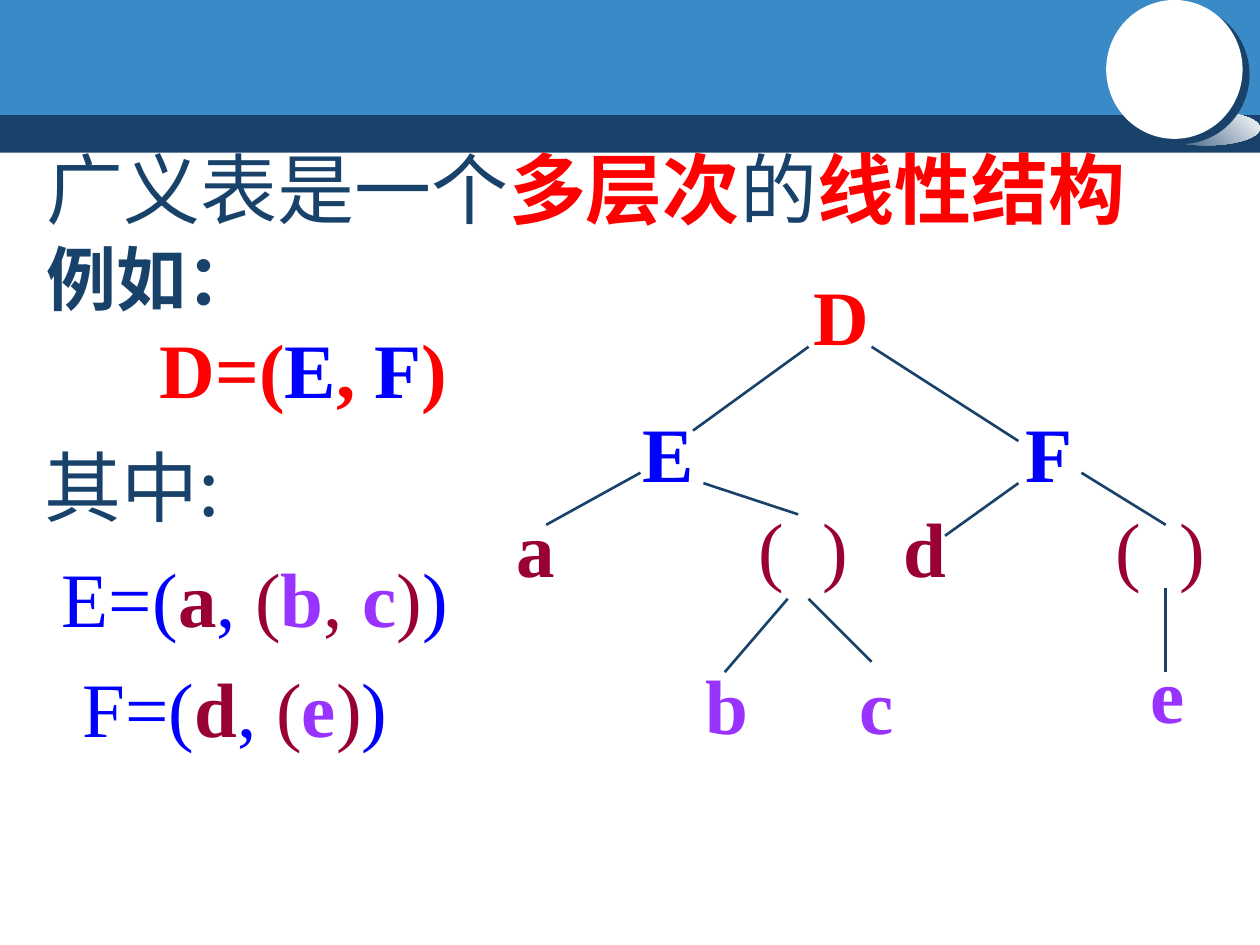
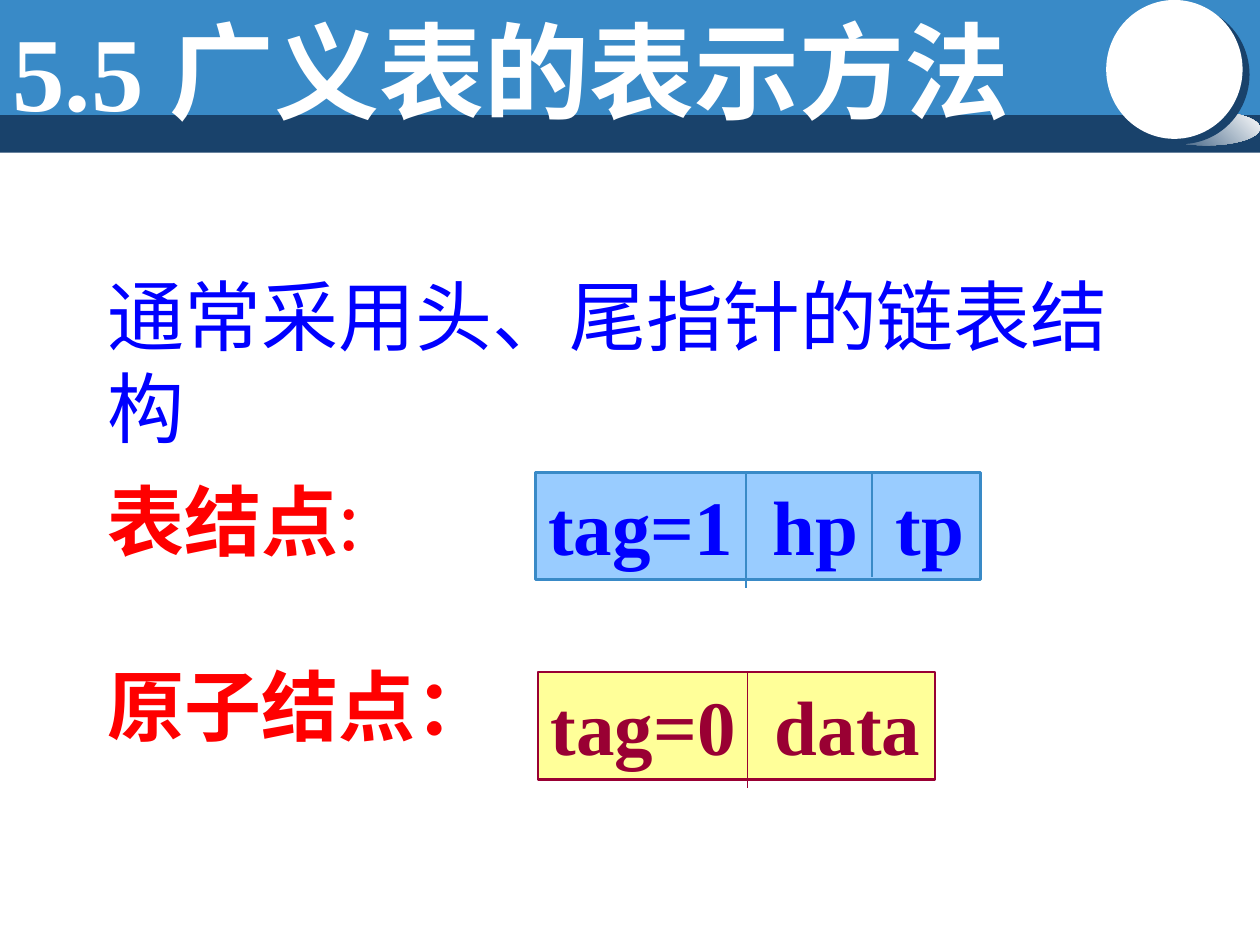
import pptx
import pptx.util
import pptx.dml.color
import pptx.enum.shapes
import pptx.enum.text
import pptx.oxml
import pptx.oxml.ns
from dataclasses import dataclass
from lxml import etree

Cm = pptx.util.Cm
Pt = pptx.util.Pt
Kind = pptx.enum.shapes.MSO_SHAPE
qn = pptx.oxml.ns.qn


@dataclass(frozen=True)
class Theme:
    navy: str = "19426B"
    sky: str = "398AC7"
    white: str = "FFFFFF"
    red: str = "FF0000"
    blue: str = "0000FF"
    wine: str = "990033"
    violet: str = "9933FF"
    pale: str = "99CCFF"
    cream: str = "FFFF99"
    latin: str = "Times New Roman"
    hans: str = "Noto Sans CJK SC"
    title: int = 60
    body: int = 44
    small: int = 40
    edge: float = 1.5
    hair: float = 0.75


T = Theme()


def rgb(code):
    return pptx.dml.color.RGBColor.from_string(code)


def say(par, text, color=T.navy, bold=False, size=T.body, font=T.latin):
    run = par.add_run()
    run.text = text
    run.font.size = Pt(size)
    run.font.bold = bold
    run.font.name = font
    run.font.color.rgb = rgb(color)
    east = etree.SubElement(run._r.get_or_add_rPr(), qn("a:ea"))
    east.set("typeface", T.hans)


def fill_par(par, runs, tabs=(), **form):
    par.alignment = pptx.enum.text.PP_ALIGN.LEFT
    if tabs:
        stops = etree.SubElement(par._p.get_or_add_pPr(), qn("a:tabLst"))
        for pos in tabs:
            etree.SubElement(stops, qn("a:tab"), pos=str(Cm(pos)), algn="l")
    for text, color, bold in runs:
        say(par, text, color, bold, **form)


def label(slide, x, y, w, h, runs, wrap=False, tabs=(), **form):
    frame = slide.shapes.add_textbox(Cm(x), Cm(y), Cm(w), Cm(h)).text_frame
    frame.word_wrap = wrap
    fill_par(frame.paragraphs[0], runs, tabs, **form)
    return frame


def shape(slide, kind, x, y, w, h, fill, line=None):
    form = slide.shapes.add_shape(kind, Cm(x), Cm(y), Cm(w), Cm(h))
    form.shadow.inherit = False
    form.fill.solid()
    form.fill.fore_color.rgb = rgb(fill)
    if line:
        form.line.color.rgb = rgb(line)
        form.line.width = Pt(T.edge)
    else:
        form.line.fill.background()
    return form


def link(slide, x1, y1, x2, y2, color=T.navy, width=T.edge):
    line = slide.shapes.add_connector(
        pptx.enum.shapes.MSO_CONNECTOR.STRAIGHT, Cm(x1), Cm(y1), Cm(x2), Cm(y2))
    line.line.color.rgb = rgb(color)
    line.line.width = Pt(width)
    etree.SubElement(line._element.spPr, qn("a:effectLst"))


def shade(form, color):
    effects = form._element.spPr.find(qn("a:effectLst"))
    drop = etree.SubElement(effects, qn("a:outerShdw"), dist=str(Pt(5)),
                            dir=str(37 * 60000), algn="ctr", rotWithShape="0")
    etree.SubElement(drop, qn("a:srgbClr"), val=color)


def banner(deck):
    slide = deck.slides.add_slide(deck.slide_layouts[6])
    shape(slide, Kind.RECTANGLE, 0, 2.21, 25.4, 0.87, T.navy)
    shape(slide, Kind.RECTANGLE, 0, 0, 25.4, 2.32, T.sky)
    glow = shape(slide, Kind.OVAL, 23.24, 2.24, 2.16, 0.69, T.navy)
    glow.fill.gradient()
    glow.fill.gradient_angle = 45
    for stop, color in zip(glow.fill.gradient_stops, (T.navy, T.white)):
        stop.color.rgb = rgb(color)
    ball = shape(slide, Kind.OVAL, 22.3, 0, 2.75, 2.8, T.white)
    shade(ball, T.navy)
    return slide


def rules(slide):
    lines = [
        (0, [("其中:", T.navy, False)], T.hans),
        (0.36, [("E=(", T.blue, False), ("a", T.wine, True), (", ", T.blue, False),
                ("(", T.wine, False), ("b", T.violet, True), (", ", T.wine, False),
                ("c", T.violet, True), (")", T.wine, False), (")", T.blue, False)],
         T.latin),
        (0.78, [("F=(", T.blue, False), ("d", T.wine, True), (",", T.blue, False),
                (" (", T.wine, False), ("e", T.violet, True), (")", T.wine, False),
                (")", T.blue, False)], T.latin),
    ]
    frame = label(slide, 0.64, 8.36, 9.4, 6.96, [], wrap=True)
    for row, (indent, runs, font) in enumerate(lines):
        par = frame.add_paragraph() if row else frame.paragraphs[0]
        par.line_spacing = 1.2
        par._p.get_or_add_pPr().set("marL", str(Cm(indent)))
        fill_par(par, runs, font=font)


def tree(slide):
    nodes = [
        ("D", 16.15, 5.28, 1.63, T.red), ("E", 12.7, 8.05, 1.55, T.blue),
        ("F", 20.42, 8.05, 1.45, T.blue), ("a", 10.16, 9.96, 1.3, T.wine),
        ("d", 17.96, 9.96, 1.37, T.wine), ("b", 13.97, 13.13, 1.37, T.violet),
        ("c", 17.07, 13.13, 1.19, T.violet), ("e", 22.94, 12.9, 1.19, T.violet),
    ]
    for text, x, y, w, color in nodes:
        label(slide, x, y, w, 2.11, [(text, color, True)])
    for x in (15.04, 22.23):
        label(slide, x, 9.96, 2.6, 2.11, [("(\t)", T.wine, False)],
              wrap=True, tabs=[1.3])
    edges = [
        (16.3, 6.99, 13.97, 8.68), (17.57, 6.99, 20.53, 8.89),
        (12.91, 9.53, 11.01, 10.58), (14.18, 9.74, 16.09, 10.37),
        (15.88, 12.07, 14.61, 13.55), (16.3, 12.07, 17.57, 13.34),
        (20.53, 9.74, 19.05, 10.8), (21.8, 9.53, 23.5, 10.58),
        (23.5, 11.86, 23.5, 13.55),
    ]
    for ends in edges:
        link(slide, *ends)


def record(slide, x, y, w, text, ink, fill, line, tabs, bars):
    box = shape(slide, Kind.RECTANGLE, x, y, w, 2.16, fill, line)
    frame = box.text_frame
    frame.word_wrap = True
    frame.vertical_anchor = pptx.enum.text.MSO_ANCHOR.TOP
    fill_par(frame.paragraphs[0], [(text, ink, True)], tabs)
    for bar, drop in bars:
        link(slide, bar, y, bar, y + drop, line, T.hair)


def layers(deck):
    slide = banner(deck)
    label(slide, 0.69, 2.72, 23.11, 2.11,
          [("广义表是一个", T.navy, False), ("多层次", T.red, True),
           ("的", T.navy, False), ("线性结构", T.red, True)], wrap=True)
    label(slide, 0.69, 4.62, 4.75, 1.96, [("例如：", T.navy, True)], size=T.small)
    label(slide, 2.97, 6.35, 6.8, 2.11,
          [("D=(", T.red, True), ("E", T.blue, True), (", ", T.red, True),
           ("F", T.blue, True), (")", T.red, True)], wrap=True)
    rules(slide)
    tree(slide)


def storage(deck):
    slide = banner(deck)
    head = label(slide, 0, 0, 21.23, 2.79, [("5.5 ", T.white, True)], size=T.title)
    say(head.paragraphs[0], "广义表的表示方法", T.white, True, T.title, T.hans)
    label(slide, 1.91, 5.28, 21.6, 2.11,
          [("通常采用头、尾指针的链表结构", T.blue, False)], wrap=True, font=T.hans)
    label(slide, 1.91, 9.42, 8.33, 2.11,
          [("表结点", T.red, True), (":", T.red, False)], wrap=True, font=T.hans)
    label(slide, 1.91, 13.16, 8.33, 2.11, [("原子结点：", T.red, True)], wrap=True)
    record(slide, 10.8, 9.53, 8.97, "tag=1\thp\ttp", T.blue, T.pale, T.sky,
           [4.52, 7.01], [(15.04, 2.33), (17.58, 2.11)])
    record(slide, 10.85, 13.55, 8, "tag=0\tdata", T.wine, T.cream, T.wine,
           [4.52], [(15.07, 2.33)])


def main():
    deck = pptx.Presentation()
    deck.slide_width, deck.slide_height = Cm(25.4), Cm(19.05)
    layers(deck)
    storage(deck)
    deck.save("out.pptx")


if __name__ == "__main__":
    main()
